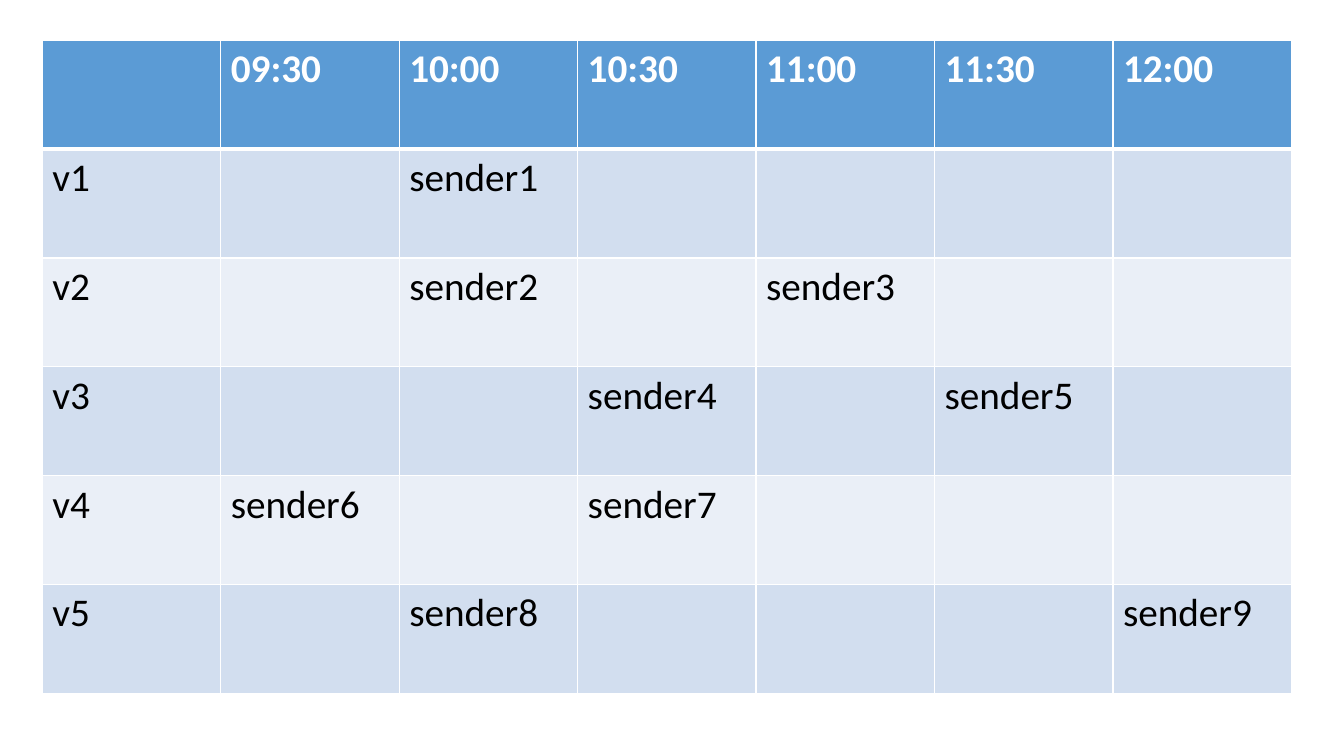
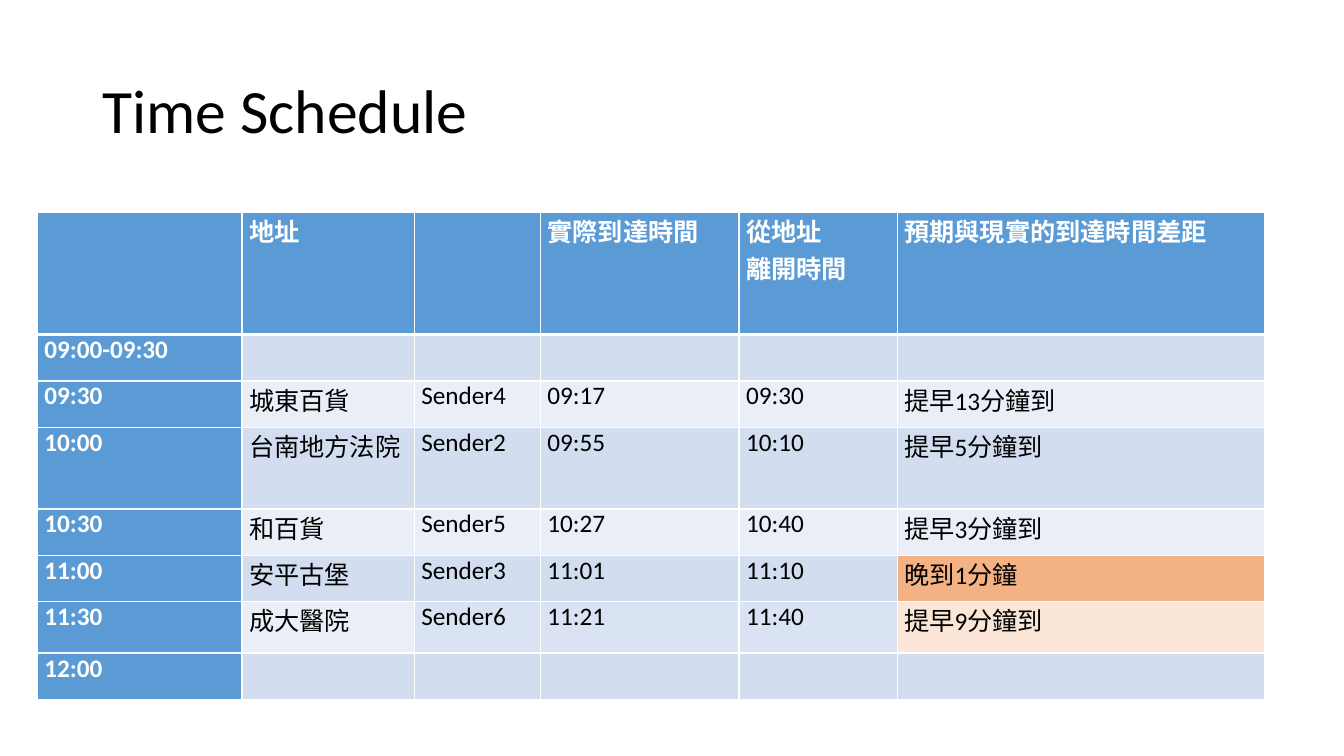
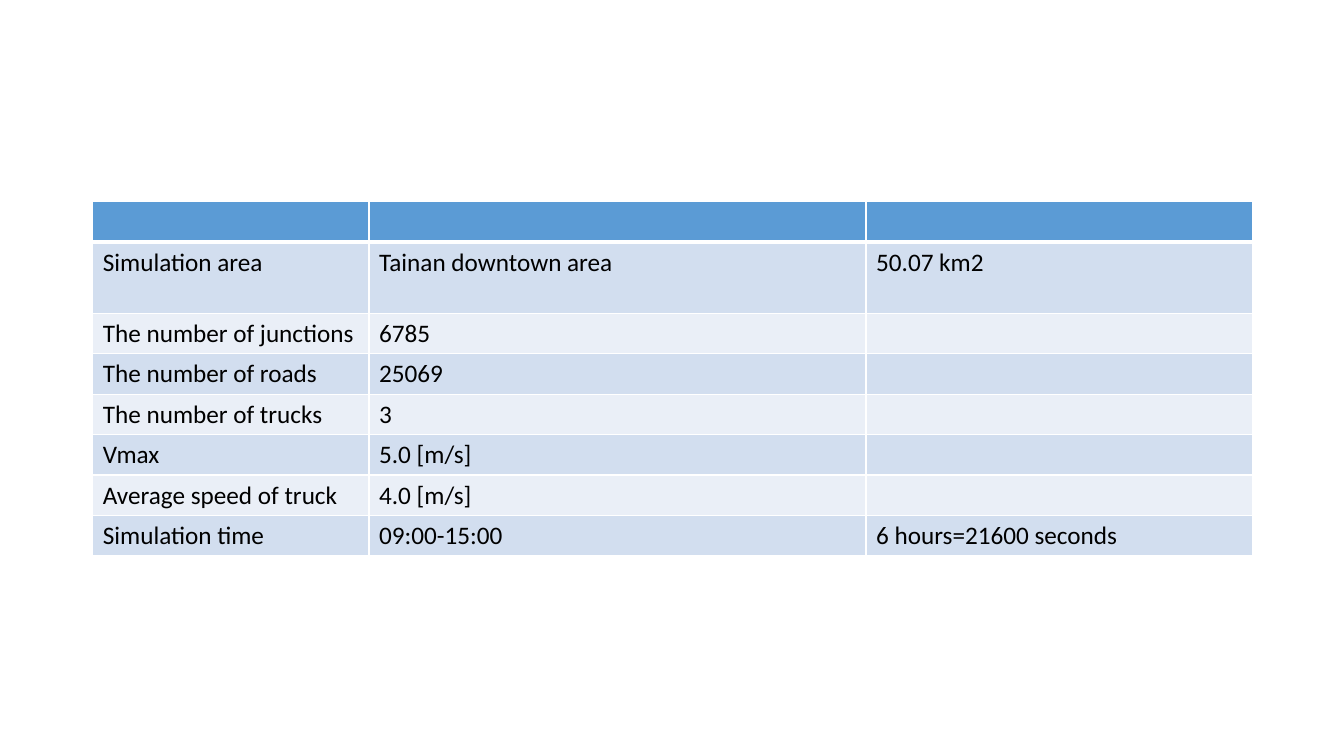
from lxml import etree
from pptx import Presentation
from pptx.dml.color import RGBColor
from pptx.enum.text import MSO_ANCHOR
from pptx.oxml.ns import qn
from pptx.util import Emu, Pt

PX = 9144  # 100 px to the inch
MIDDLE = MSO_ANCHOR.MIDDLE
FONT = "Calibri"

WHITE = RGBColor(0xFF, 0xFF, 0xFF)
BLACK = RGBColor(0x00, 0x00, 0x00)
BLUE = RGBColor(0x5B, 0x9B, 0xD5)
BAND_DARK = RGBColor(0xD2, 0xDE, 0xEF)
BAND_LIGHT = RGBColor(0xEA, 0xEF, 0xF7)
PALE_BLUE = RGBColor(0xDA, 0xE3, 0xF3)
ORANGE = RGBColor(0xF4, 0xB1, 0x83)
PALE_ORANGE = RGBColor(0xFB, 0xE5, 0xD6)

THIN, THICK = Pt(1), Pt(3)

VEHICLE_ROWS = [
    ["", "09:30", "10:00", "10:30", "11:00", "11:30", "12:00"],
    ["v1", "", "sender1", "", "", "", ""],
    ["v2", "", "sender2", "", "sender3", "", ""],
    ["v3", "", "", "sender4", "", "sender5", ""],
    ["v4", "sender6", "", "sender7", "", "", ""],
    ["v5", "", "sender8", "", "", "", "sender9"],
]

SCHEDULE_ROWS = [
    ["", "地址", "", "實際到達時間", "從地址\n離開時間", "預期與現實的到達時間差距"],
    ["09:00-09:30", "", "", "", "", ""],
    ["09:30", "城東百貨", "Sender4", "09:17", "09:30", "提早13分鐘到"],
    ["10:00", "台南地方法院", "Sender2", "09:55", "10:10", "提早5分鐘到"],
    ["10:30", "和百貨", "Sender5", "10:27", "10:40", "提早3分鐘到"],
    ["11:00", "安平古堡", "Sender3", "11:01", "11:10", "晚到1分鐘"],
    ["11:30", "成大醫院", "Sender6", "11:21", "11:40", "提早9分鐘到"],
    ["12:00", "", "", "", "", ""],
]
SCHEDULE_FILLS = {
    (5, 5): ORANGE,
    (6, 2): PALE_BLUE, (6, 3): PALE_BLUE, (6, 4): PALE_BLUE,
    (6, 5): PALE_ORANGE,
}

SIMULATION_ROWS = [
    ["", "", ""],
    ["Simulation area", "Tainan downtown area", "50.07 km2"],
    ["The number of junctions", "6785", ""],
    ["The number of roads", "25069", ""],
    ["The number of trucks", "3", ""],
    ["Vmax", "5.0 [m/s]", ""],
    ["Average speed of truck", "4.0 [m/s]", ""],
    ["Simulation time", "09:00-15:00", "6 hours=21600 seconds"],
]


def px(n):
    return Emu(n * PX)


def add_text(p, text, size, color, bold=False):
    """Add runs to a paragraph, with a line break at each newline."""
    for i, line in enumerate(text.split("\n")):
        if i:
            p.add_line_break()
        r = p.add_run()
        r.text = line
        r.font.name = FONT
        r.font.size = Pt(size)
        r.font.bold = bold
        r.font.color.rgb = color


def set_borders(cell, row):
    """White cell edges, thick between the header and the body."""
    widths = {
        "L": THIN,
        "R": THIN,
        "T": THICK if row == 1 else THIN,
        "B": THICK if row == 0 else THIN,
    }
    tc_pr = cell._tc.get_or_add_tcPr()
    for side, width in widths.items():
        ln = etree.SubElement(tc_pr, qn(f"a:ln{side}"), w=str(width))
        fill = etree.SubElement(ln, qn("a:solidFill"))
        etree.SubElement(fill, qn("a:srgbClr"), val=str(WHITE))


def add_banded_table(slide, left, top, cols, heights, rows, size,
                     header_col=False, insets=None, fills=None):
    """Table with a blue header and banded rows; insets is (side, top)."""
    fills = fills or {}
    frame = slide.shapes.add_table(len(rows), len(cols), px(left), px(top),
                                   px(sum(cols)), px(sum(heights)))
    table = frame.table
    table.first_row = table.horz_banding = False
    for col, width in zip(table.columns, cols):
        col.width = px(width)
    for row, height in zip(table.rows, heights):
        row.height = px(height)
    for i, texts in enumerate(rows):
        band = BAND_DARK if i % 2 else BAND_LIGHT
        for j, text in enumerate(texts):
            cell = table.cell(i, j)
            header = i == 0 or (header_col and j == 0)
            set_borders(cell, i)
            cell.fill.solid()
            cell.fill.fore_color.rgb = BLUE if header else fills.get((i, j), band)
            if insets:
                cell.margin_left = cell.margin_right = px(insets[0])
                cell.margin_top = cell.margin_bottom = px(insets[1])
            if text:
                add_text(cell.text_frame.paragraphs[0], text, size,
                         WHITE if header else BLACK, header)


def add_title(slide, text, left, top, width, height):
    s = slide.shapes.add_textbox(px(left), px(top), px(width), px(height))
    tf = s.text_frame
    tf.word_wrap = True
    tf.vertical_anchor = MIDDLE
    p = tf.paragraphs[0]
    p.line_spacing = 0.9
    add_text(p, text, 44, BLACK)


def vehicle_slide(slide):
    add_banded_table(slide, 42, 40, [177] * 7, [108] * 6, VEHICLE_ROWS, 28)


def schedule_slide(slide):
    add_title(slide, "Time Schedule", 92, 40, 1150, 145)
    add_banded_table(slide, 37, 211, [203, 171, 125, 197, 157, 364],
                     [121, 46, 46, 81, 46, 46, 51, 46], SCHEDULE_ROWS, 18,
                     header_col=True, insets=(7, 0), fills=SCHEDULE_FILLS)


def simulation_slide(slide):
    add_banded_table(slide, 92, 200, [274, 493, 383], [40, 71] + [40] * 6,
                     SIMULATION_ROWS, 18)


def main():
    prs = Presentation()
    prs.slide_width, prs.slide_height = px(1333), px(750)
    blank = prs.slide_layouts[6]
    for build in (vehicle_slide, schedule_slide, simulation_slide):
        build(prs.slides.add_slide(blank))
    prs.save("out.pptx")


if __name__ == "__main__":
    main()
